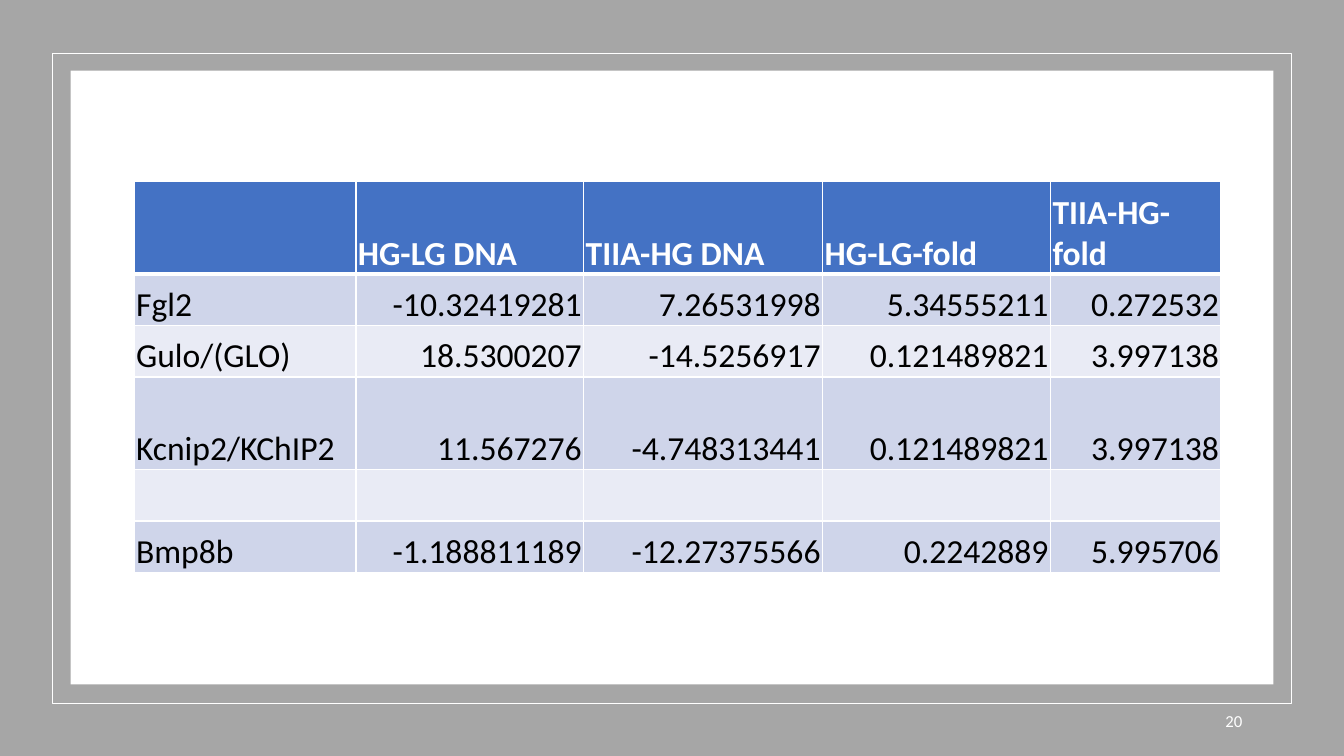
from dataclasses import dataclass

from lxml.etree import SubElement
from pptx import Presentation
from pptx.dml.color import RGBColor
from pptx.enum.shapes import MSO_SHAPE
from pptx.enum.text import MSO_ANCHOR, PP_ALIGN
from pptx.oxml.ns import qn
from pptx.util import Inches, Pt


@dataclass(frozen=True)
class Theme:
    font: str = "Calibri"
    white: str = "FFFFFF"
    black: str = "000000"
    gray: str = "A6A6A6"
    header: str = "4472C4"
    bands: tuple = ("CFD5EA", "E9EBF5")
    table_size: int = 24
    number_size: int = 12
    thin: int = 1
    thick: int = 3


THEME = Theme()

COL_WIDTHS = (2.2, 2.26, 2.37, 2.26, 1.69)
ROW_HEIGHTS = (0.92, 0.51, 0.51, 0.92, 0.51, 0.51)
GENES = (
    ("", "HG-LG DNA", "TIIA-HG DNA", "HG-LG-fold", "TIIA-HG-fold"),
    ("Fgl2", "-10.32419281", "7.26531998", "5.34555211", "0.272532"),
    ("Gulo/(GLO)", "18.5300207", "-14.5256917", "0.121489821", "3.997138"),
    ("Kcnip2/KChIP2", "11.567276", "-4.748313441", "0.121489821", "3.997138"),
    ("", "", "", "", ""),
    ("Bmp8b", "-1.188811189", "-12.27375566", "0.2242889", "5.995706"),
)


def write(tf, text, *, size, color, bold=False, align=PP_ALIGN.LEFT, after=0):
    p = tf.paragraphs[0]
    p.alignment = align
    p.space_after = Pt(after)
    r = p.add_run()
    r.text = text
    r.font.name = THEME.font
    r.font.size = Pt(size)
    r.font.bold = bold
    r.font.color.rgb = RGBColor.from_string(color)


def add_rect(s, box, fill=None, line=None):
    sp = s.shapes.add_shape(MSO_SHAPE.RECTANGLE, *map(Inches, box))
    sp.shadow.inherit = False
    if fill:
        sp.fill.solid()
        sp.fill.fore_color.rgb = RGBColor.from_string(fill)
    else:
        sp.fill.background()
    if line:
        sp.line.color.rgb = RGBColor.from_string(line)
        sp.line.width = Pt(THEME.thin)
    else:
        sp.line.fill.background()


def add_frame(s, box):
    """Gray backdrop, white outline and white panel."""
    x, y, w, h = box
    add_rect(s, box, fill=THEME.gray)
    add_rect(s, (x + 0.52, y + 0.53, w - 1.04, h - 1.05), line=THEME.white)
    add_rect(s, (x + 0.7, y + 0.7, w - 1.4, h - 1.41), fill=THEME.white)


def add_slide_number(s, box, number):
    tf = s.shapes.add_textbox(*map(Inches, box)).text_frame
    tf.word_wrap = True
    tf.vertical_anchor = MSO_ANCHOR.MIDDLE
    write(tf, number, size=THEME.number_size, color=THEME.white,
          align=PP_ALIGN.RIGHT, after=6)


def set_borders(cell, top, bottom):
    tcPr = cell._tc.get_or_add_tcPr()
    sides = {"lnL": THEME.thin, "lnR": THEME.thin, "lnT": top, "lnB": bottom}
    for side, width in sides.items():
        ln = SubElement(tcPr, qn(f"a:{side}"), w=str(Pt(width)))
        fill = SubElement(ln, qn("a:solidFill"))
        SubElement(fill, qn("a:srgbClr"), val=THEME.white)


def format_cell(cell, text, row, col):
    is_header = row == 0
    set_borders(cell, top=THEME.thick if row == 1 else THEME.thin,
                bottom=THEME.thick if is_header else THEME.thin)
    fill = THEME.header if is_header else THEME.bands[(row - 1) % 2]
    cell.fill.solid()
    cell.fill.fore_color.rgb = RGBColor.from_string(fill)
    cell.margin_left = cell.margin_right = cell.margin_top = Inches(0.02)
    cell.margin_bottom = 0
    cell.vertical_anchor = MSO_ANCHOR.BOTTOM
    if text:
        is_value = row > 0 and col > 0
        write(cell.text_frame, text, size=THEME.table_size, bold=is_header,
              color=THEME.white if is_header else THEME.black,
              align=PP_ALIGN.RIGHT if is_value else PP_ALIGN.LEFT)


def add_gene_table(s, box):
    table = s.shapes.add_table(len(GENES), len(COL_WIDTHS),
                               *map(Inches, box)).table
    for column, width in zip(table.columns, COL_WIDTHS):
        column.width = Inches(width)
    for row, height in zip(table.rows, ROW_HEIGHTS):
        row.height = Inches(height)
    for i, values in enumerate(GENES):
        for j, text in enumerate(values):
            format_cell(table.cell(i, j), text, i, j)


def main():
    prs = Presentation()
    prs.slide_width, prs.slide_height = Inches(13.33), Inches(7.5)
    s = prs.slides.add_slide(prs.slide_layouts[6])
    add_frame(s, (0, 0, 13.33, 7.5))
    add_slide_number(s, (9.42, 6.95, 3, 0.4), "20")
    add_gene_table(s, (1.33, 1.8, sum(COL_WIDTHS), sum(ROW_HEIGHTS)))
    prs.save("out.pptx")


if __name__ == "__main__":
    main()
